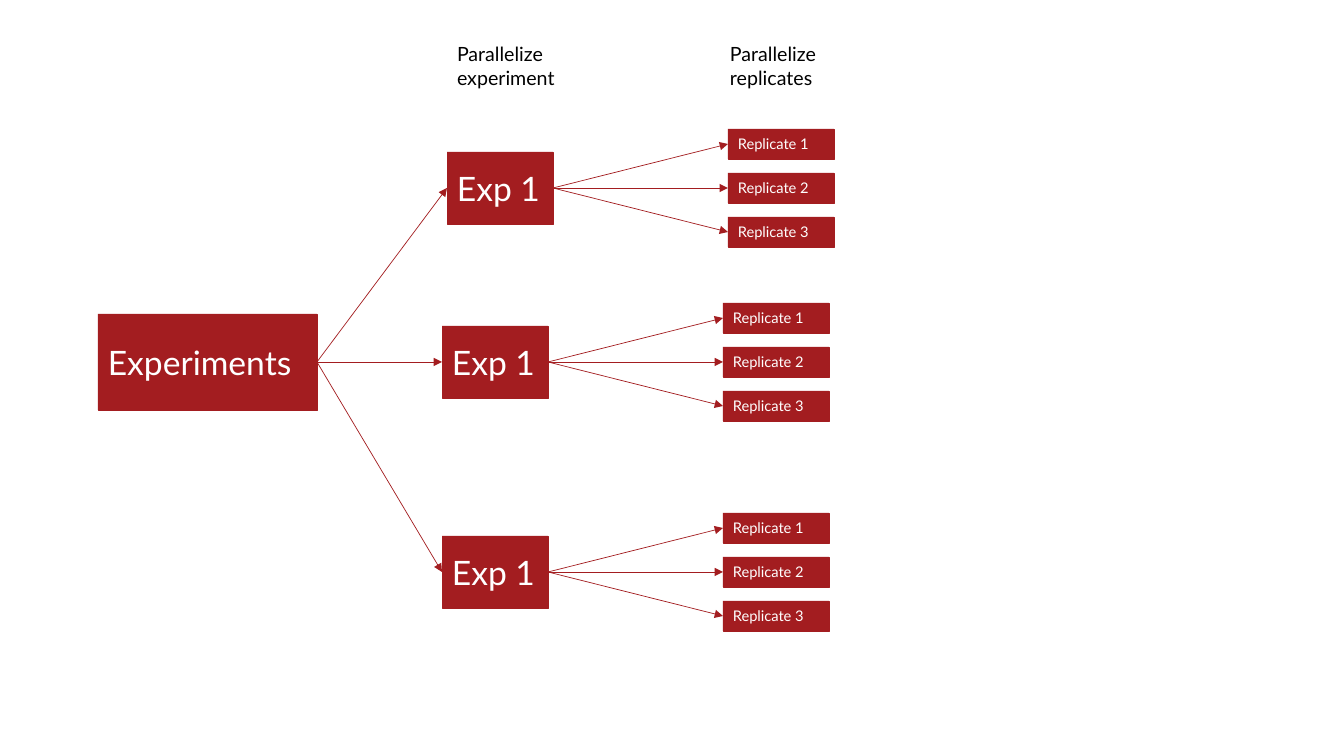
from lxml import etree
from pptx import Presentation
from pptx.dml.color import RGBColor
from pptx.enum.shapes import MSO_CONNECTOR, MSO_SHAPE
from pptx.enum.text import MSO_ANCHOR, MSO_AUTO_SIZE, PP_ALIGN
from pptx.oxml.ns import qn
from pptx.util import Pt

RECT = MSO_SHAPE.RECTANGLE
STRAIGHT = MSO_CONNECTOR.STRAIGHT
MIDDLE = MSO_ANCHOR.MIDDLE
LEFT = PP_ALIGN.LEFT
GROW = MSO_AUTO_SIZE.SHAPE_TO_FIT_TEXT

RED = RGBColor(0xA3, 0x1D, 0x20)
WHITE = RGBColor(0xFF, 0xFF, 0xFF)
BLACK = RGBColor(0x00, 0x00, 0x00)

SLIDE_W, SLIDE_H = 1344, 756
LINE_W = Pt(0.5)
LEFT_SITE, RIGHT_SITE = 1, 3  # connection sites of a rectangle

ROOT_BOX = (98, 314, 219, 96)
EXP_W, EXP_H = 106, 72
EXP_SPOTS = [(447, 152), (442, 326), (442, 536)]
REP_DX, REP_W, REP_H, REP_PITCH = 281, 106, 30, 44
REPLICATES = ["Replicate 1", "Replicate 2", "Replicate 3"]
HEADINGS = [
    ((457, 42, 103, 47), ["Parallelize experiment"]),
    ((730, 42, 103, 47), ["Parallelize", "replicates"]),
]


def px(n):
    """Pixels to EMU, at 100.8 pixels to the inch."""
    return round(n * 914400 / 100.8)


def write(tf, lines, size, color):
    for i, line in enumerate(lines):
        p = tf.paragraphs[0] if i == 0 else tf.add_paragraph()
        p.alignment = LEFT
        r = p.add_run()
        r.text = line
        for name, value in {"name": "Lato", "size": Pt(size)}.items():
            setattr(r.font, name, value)
        r.font.color.rgb = color


def add_box(slide, box, text, size):
    sp = slide.shapes.add_shape(RECT, *map(px, box))
    sp.shadow.inherit = False
    sp.fill.solid()
    sp.fill.fore_color.rgb = RED
    sp.line.color.rgb = RED
    sp.line.width = LINE_W
    tf = sp.text_frame
    for name, value in {"word_wrap": True, "vertical_anchor": MIDDLE}.items():
        setattr(tf, name, value)
    write(tf, [text], size, WHITE)
    return sp


def add_arrow(slide, source, target):
    cx = slide.shapes.add_connector(STRAIGHT, 0, 0, 0, 0)
    cx.begin_connect(source, RIGHT_SITE)
    cx.end_connect(target, LEFT_SITE)
    cx.line.color.rgb = RED
    cx.line.width = LINE_W
    etree.SubElement(cx.line._get_or_add_ln(), qn("a:tailEnd"), type="triangle")
    etree.SubElement(cx._element.spPr, qn("a:effectLst"))


def add_heading(slide, box, lines):
    tf = slide.shapes.add_textbox(*map(px, box)).text_frame
    margins = dict.fromkeys(
        ["margin_left", "margin_top", "margin_right", "margin_bottom"], 0)
    for name, value in {**margins, "word_wrap": True, "auto_size": GROW}.items():
        setattr(tf, name, value)
    write(tf, lines, 14, BLACK)


def add_experiment(slide, root, x, y):
    """One experiment with its replicates centred on it to the right."""
    exp = add_box(slide, (x, y, EXP_W, EXP_H), "Exp 1", 24)
    add_arrow(slide, root, exp)
    stack_h = REP_PITCH * (len(REPLICATES) - 1) + REP_H
    top = y + (EXP_H - stack_h) // 2
    for i, text in enumerate(REPLICATES):
        box = (x + REP_DX, top + i * REP_PITCH, REP_W, REP_H)
        add_arrow(slide, exp, add_box(slide, box, text, 10.5))


def main():
    prs = Presentation()
    prs.slide_width, prs.slide_height = px(SLIDE_W), px(SLIDE_H)
    slide = prs.slides.add_slide(prs.slide_layouts[6])

    # Tree of experiments and replicates
    root = add_box(slide, ROOT_BOX, "Experiments", 24)
    for x, y in EXP_SPOTS:
        add_experiment(slide, root, x, y)

    # Column headings
    for box, lines in HEADINGS:
        add_heading(slide, box, lines)

    prs.save("out.pptx")


if __name__ == "__main__":
    main()
